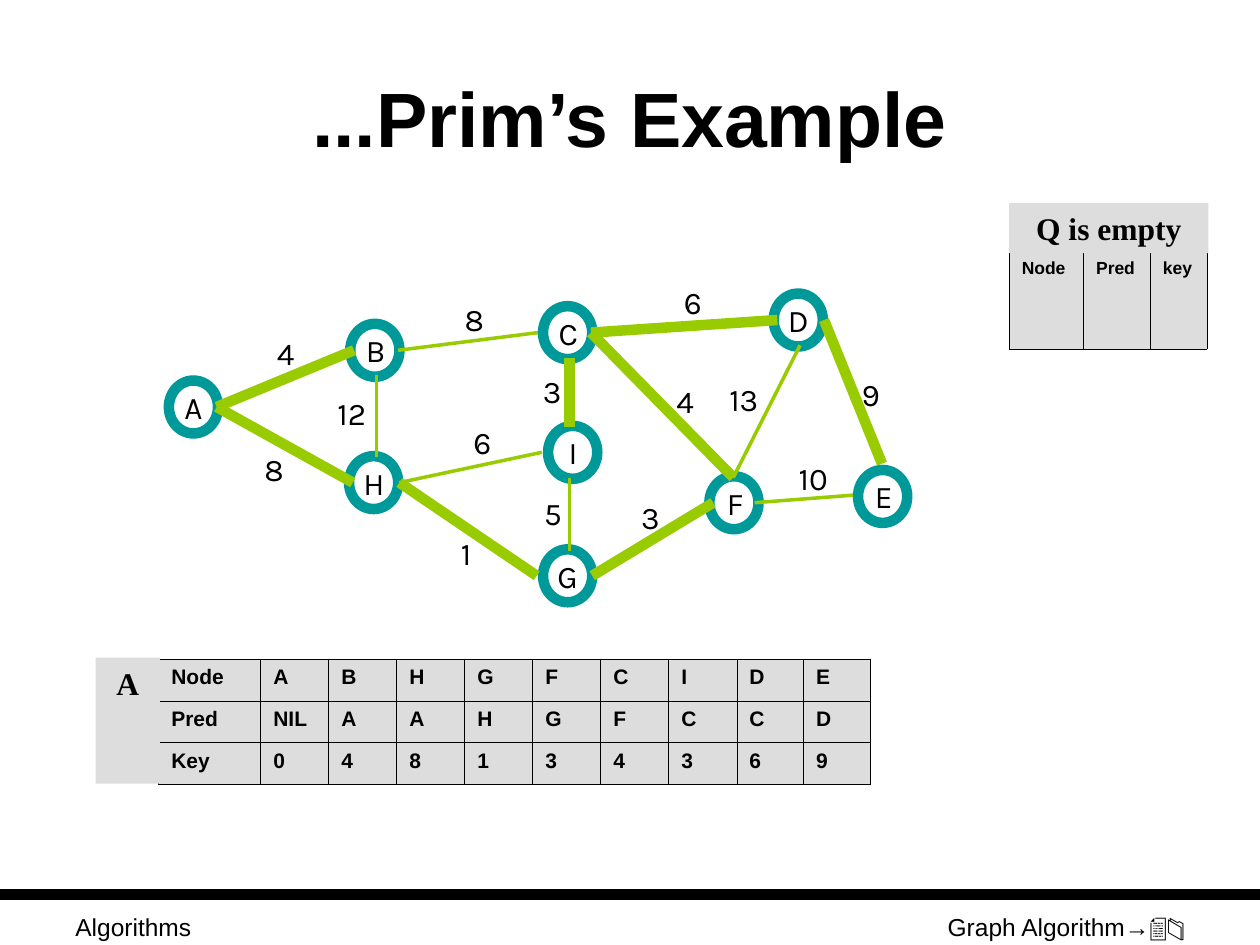
from lxml import etree
from pptx import Presentation
from pptx.dml.color import RGBColor
from pptx.enum.shapes import MSO_CONNECTOR, MSO_SHAPE
from pptx.enum.text import MSO_ANCHOR, MSO_AUTO_SIZE, PP_ALIGN
from pptx.oxml import parse_xml
from pptx.oxml.ns import nsdecls, qn
from pptx.util import Inches, Pt

STRAIGHT = MSO_CONNECTOR.STRAIGHT
OVAL, RECTANGLE = MSO_SHAPE.OVAL, MSO_SHAPE.RECTANGLE
TOP, MIDDLE = MSO_ANCHOR.TOP, MSO_ANCHOR.MIDDLE
LEFT, CENTER, RIGHT = PP_ALIGN.LEFT, PP_ALIGN.CENTER, PP_ALIGN.RIGHT
FIT_SHAPE = MSO_AUTO_SIZE.SHAPE_TO_FIT_TEXT

THEME = {
    "ink": RGBColor.from_string("000000"),
    "panel": RGBColor.from_string("DDDDDD"),
    "ring": RGBColor.from_string("009999"),
    "edge": RGBColor.from_string("99CC00"),
    "sans": "Arial", "graph": "Karla", "serif": "Times New Roman",
    "title": 44, "label": 18, "footer": 14, "cell": 12, "small": 10,
    "thick": 6, "thin": 2, "border": 0.45,
}

deck = Presentation()
deck.slide_width, deck.slide_height = Inches(10), Inches(7.5)
page = deck.slides.add_slide(deck.slide_layouts[5])
COLUMN, ROW = deck.slide_width / 100, deck.slide_height / 75


def grid(*lengths):
    """Turn alternating columns and rows of the page grid into lengths."""
    return [round(n * (ROW if i % 2 else COLUMN)) for i, n in enumerate(lengths)]


def write(frame, text, font, size, bold=False, align=LEFT):
    frame.text = text
    para = frame.paragraphs[0]
    para.alignment = align
    for span in para.runs:
        span.font.name, span.font.size = THEME[font], Pt(THEME[size])
        span.font.bold, span.font.color.rgb = bold, THEME["ink"]


# Title
title = page.shapes.title
title.left, title.top, title.width, title.height = grid(5, 3, 90, 12.5)
title.text_frame.vertical_anchor = MIDDLE
write(title.text_frame, "...Prim’s Example", "sans", "title", True, CENTER)

# Footer texts
for left, text, align in [(5, "Algorithms", LEFT), (71.7, "Graph Algorithm→📄📁", RIGHT)]:
    box = page.shapes.add_textbox(*grid(left, 71.9, 23.3, 5.2))
    box.text_frame.word_wrap = True
    write(box.text_frame, text, "sans", "footer", align=align)

# Tables: rows, column widths, row height, left, top, type size
result_rows = [
    ["Node", *"ABHGFCIDE"],
    ["Pred", "NIL", *"AAHGFCCD"],
    ["Key", *"048134369"],
]
result_rows[2] = ["Key", "0", "4", "8", "1", "3", "4", "3", "6", "9"]
tables = [
    (result_rows, [8.1] + [5.4] * 7 + [5.3] * 2, 3.33, 12.6, 52.3, "cell"),
    ([["Node", "Pred", "key"]], [5.9, 5.3, 4.5], 7.7, 80.1, 20, "small"),
]
for rows, widths, height, left, top, size in tables:
    place = grid(left, top, sum(widths), height * len(rows))
    table = page.shapes.add_table(len(rows), len(widths), *place).table
    table.first_row = table.horz_banding = False
    for column, width in zip(table.columns, widths):
        column.width = round(width * COLUMN)
    for r, texts in enumerate(rows):
        table.rows[r].height = round(height * ROW)
        for c, text in enumerate(texts):
            cell = table.cell(r, c)
            write(cell.text_frame, text, "sans", size, True)
            for side in ("lnL", "lnR", "lnT", "lnB"):
                cell._tc.get_or_add_tcPr().append(parse_xml(
                    f'<a:{side} {nsdecls("a")} w="{Pt(THEME["border"])}"><a:solidFill>'
                    f'<a:srgbClr val="{THEME["ink"]}"/></a:solidFill></a:{side}>'))
            cell.fill.solid()
            cell.fill.fore_color.rgb = THEME["panel"]

# Table headings
headings = [("A", 7.6, 52.2, 5.1, 10), ("Q is empty", 80.1, 16.1, 15.8, 4)]
for text, *place in headings:
    panel = page.shapes.add_shape(RECTANGLE, *grid(*place))
    panel.shadow.inherit = False
    panel.fill.solid()
    panel.fill.fore_color.rgb = THEME["panel"]
    panel.line.fill.background()
    panel.text_frame.vertical_anchor = TOP
    write(panel.text_frame, text, "serif", "label", True, CENTER)

# Graph nodes: name, left and top of the ring, width of the name
RING_WIDTH, RING_HEIGHT = 3.9, 4.2
nodes = [
    ("A", 13.4, 30.2, 3.6), ("B", 27.8, 25.7, 3.6), ("C", 43.1, 24.3, 3.6),
    ("D", 61.4, 23.3, 3.8), ("E", 68.1, 37.3, 3.4), ("F", 56.3, 37.8, 3.3),
    ("G", 43.1, 43.6, 3.8), ("H", 27.7, 36.2, 3.8), ("I", 43.5, 33.8, 2.8),
]
labels = []
for name, left, top, width in nodes:
    ring = page.shapes.add_shape(OVAL, *grid(left, top, RING_WIDTH, RING_HEIGHT))
    ring.shadow.inherit = False
    ring.fill.background()
    ring.line.color.rgb, ring.line.width = THEME["ring"], Pt(THEME["thick"])
    labels.append((name, left + (RING_WIDTH - width) / 2 + 0.1, top + 0.1, width))

# Graph edges: start, end, weight with its place, stroke
edges = [
    (17.2, 32.3, 28.1, 27.8, "4", 21, 26, "thick"),
    (17.2, 32.3, 28, 38.3, "8", 20, 35.2, "thick"),
    (29.9, 36.3, 29.9, 29.8, "12", 25.8, 30.8, "thin"),
    (42.7, 26.4, 31.6, 27.8, "8", 35.9, 23.3, "thin"),
    (45.2, 28.4, 45.2, 33.9, "3", 42.1, 29, "thick"),
    (31.7, 38.3, 43, 35.9, "6", 36.6, 33.1, "thin"),
    (31.7, 38.3, 42.6, 45.7, "1", 35.6, 41.9, "thick"),
    (45.2, 43.7, 45.2, 37.9, "5", 42.2, 38.7, "thin"),
    (46.9, 26.4, 58.2, 37.9, "4", 52.7, 29.8, "thick"),
    (47, 45.7, 56.6, 39.9, "3", 49.9, 39, "thick"),
    (61.7, 25.4, 46.9, 26.4, "6", 53.3, 22, "thick"),
    (63.5, 27.4, 58.2, 37.9, "13", 56.9, 29.7, "thin"),
    (59.9, 39.9, 67.7, 39.3, "10", 62.4, 35.9, "thin"),
    (65.4, 25.4, 70, 36.8, "9", 67.4, 29.3, "thick"),
]
lines = [(0, 71, 100, 71, "ink", "thick")]
for *ends, weight, left, top, stroke in edges:
    lines.append((*ends, "edge", stroke))
    labels.append((weight, left, top, 2 + 1.4 * len(weight)))

# Footer rule and edges
for *ends, colour, stroke in lines:
    line = page.shapes.add_connector(STRAIGHT, *grid(*ends))
    line.line.color.rgb, line.line.width = THEME[colour], Pt(THEME[stroke])
    etree.SubElement(line._element.spPr, qn("a:effectLst"))

# Node names and edge weights
for text, left, top, width in labels:
    box = page.shapes.add_textbox(*grid(left, top, width, 4))
    box.text_frame.word_wrap = False
    box.text_frame.auto_size = FIT_SHAPE
    write(box.text_frame, text, "graph", "label")

deck.save("out.pptx")
